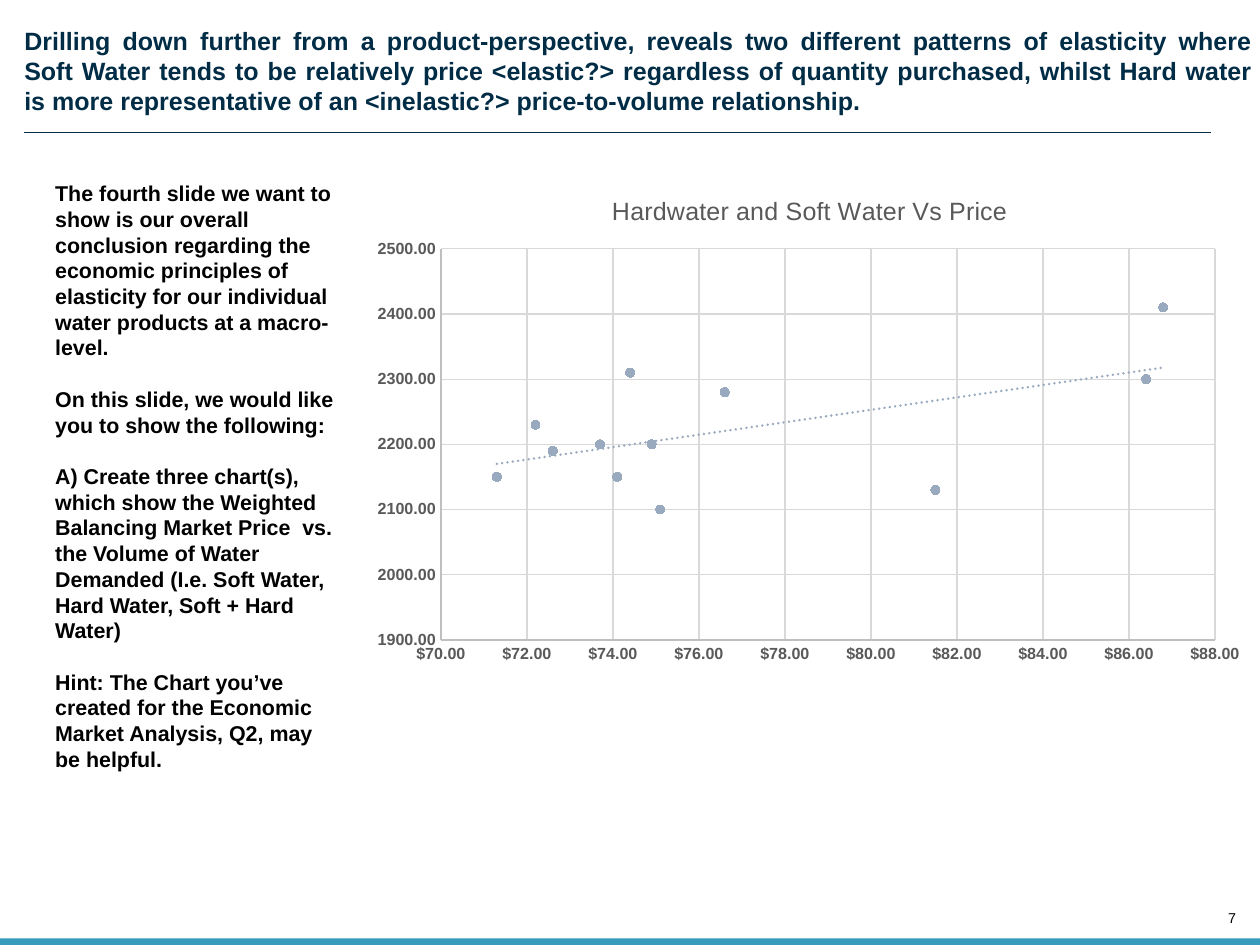
from lxml import etree
from pptx import Presentation
from pptx import util as u
from pptx.chart import data as chart_data
from pptx.dml import color
from pptx.enum import chart as chart_enum
from pptx.enum import shapes, text
from pptx.oxml import ns, parse_xml

COLORS = {
    "navy": "002C46",
    "teal": "379BBD",
    "black": "000000",
    "label": "595959",
    "axis": "BFBFBF",
    "grid": "D9D9D9",
    "point": "99AABE",
}
FONT = "Arial"
SLIDE_WIDTH, SLIDE_HEIGHT = 24.89, 18.67

HEADLINE = (
    "Drilling down further from a product-perspective, reveals two different patterns of elasticity where\v"
    "Soft Water tends to be relatively price <elastic?> regardless of quantity purchased, whilst Hard water "
    "is more representative of an <inelastic?> price-to-volume relationship."
)
BRIEF = [
    "The fourth slide we want to show is our overall conclusion regarding the economic principles of "
    "elasticity for our individual water products at a macro-level.",
    "On this slide, we would like you to show the following:",
    "A) Create three chart(s), which show the Weighted Balancing Market Price  vs. the Volume of Water "
    "Demanded (I.e. Soft Water, Hard Water, Soft + Hard Water)",
    "Hint: The Chart you’ve created for the Economic Market Analysis, Q2, may be helpful.",
]
PRICE_VOLUME = [
    (86.4, 2300), (86.8, 2410), (81.5, 2130), (72.6, 2190),
    (71.3, 2150), (72.2, 2230), (76.6, 2280), (74.9, 2200),
    (74.1, 2150), (75.1, 2100), (73.7, 2200), (74.4, 2310),
]


def rgb(name):
    return color.RGBColor.from_string(COLORS[name])


def style_font(font, size, tint, bold=False):
    font.name = FONT
    font.size = u.Pt(size)
    font.bold = bold
    font.color.rgb = rgb(tint)


def style_line(line, tint, width=0.75):
    line.color.rgb = rgb(tint)
    line.width = u.Pt(width)


def place(part, left, top, width, height):
    part.left, part.top = u.Cm(left), u.Cm(top)
    part.width, part.height = u.Cm(width), u.Cm(height)


def write(frame, paragraphs, size, tint, bold=False, align=text.PP_ALIGN.LEFT,
          anchor=text.MSO_ANCHOR.TOP, inset=(0, 0), gap=0, wrap=True):
    frame.word_wrap = wrap
    frame.auto_size = text.MSO_AUTO_SIZE.NONE
    frame.vertical_anchor = anchor
    frame.margin_left = frame.margin_right = u.Cm(inset[0])
    frame.margin_top = frame.margin_bottom = u.Cm(inset[1])
    for index, wording in enumerate(paragraphs):
        paragraph = frame.add_paragraph() if index else frame.paragraphs[0]
        paragraph.text = wording
        paragraph.alignment = align
        paragraph.line_spacing = 1.0
        paragraph.space_before = u.Pt(gap if index else 0)
        for run in paragraph.runs:
            style_font(run.font, size, tint, bold)


def add_headline(slide, left, top, width, height):
    headline = slide.shapes.title
    place(headline, left, top, width, height)
    write(headline.text_frame, [HEADLINE], 14, "navy", bold=True, align=text.PP_ALIGN.JUSTIFY)
    rule_y = u.Cm(top + height + 0.31)
    rule = slide.shapes.add_connector(
        shapes.MSO_CONNECTOR.STRAIGHT, u.Cm(left), rule_y, u.Cm(left + width - 0.83), rule_y)
    style_line(rule.line, "navy")
    etree.SubElement(rule._element.spPr, ns.qn("a:effectLst"))


def add_brief(slide, left, top, width, height):
    brief = slide.placeholders[1]
    place(brief, left, top, width, height)
    write(brief.text_frame, BRIEF, 12, "black", bold=True, inset=(0.25, 0.13), gap=14.4)
    for paragraph in brief.text_frame.paragraphs:
        properties = paragraph._p.get_or_add_pPr()
        properties.set("marL", "0")
        properties.set("indent", "0")
        etree.SubElement(properties, ns.qn("a:buNone"))


def style_axis(axis, low, high, step, number_format):
    axis.minimum_scale, axis.maximum_scale, axis.major_unit = low, high, step
    axis.major_tick_mark = axis.minor_tick_mark = chart_enum.XL_TICK_MARK.NONE
    axis.has_major_gridlines = True
    style_line(axis.major_gridlines.format.line, "grid")
    style_line(axis.format.line, "axis")
    axis.tick_labels.number_format = number_format
    axis.tick_labels.number_format_is_linked = False
    style_font(axis.tick_labels.font, 9, "label", bold=True)


def add_trend(series):
    trend = parse_xml(
        f'<c:trendline {ns.nsdecls("c", "a")}><c:spPr><a:ln w="19050" cap="rnd"><a:solidFill>'
        f'<a:srgbClr val="{COLORS["point"]}"/></a:solidFill><a:prstDash val="sysDot"/></a:ln></c:spPr>'
        '<c:trendlineType val="linear"/><c:dispRSqr val="0"/><c:dispEq val="0"/></c:trendline>')
    series._element.find(ns.qn("c:xVal")).addprevious(trend)


def set_plot_area(chart, **shares):
    area = chart._chartSpace.chart.plotArea
    for layout in area.findall(ns.qn("c:layout")):
        area.remove(layout)
    settings = {"layoutTarget": "inner", "xMode": "edge", "yMode": "edge", **shares}
    entries = "".join(f'<c:{key} val="{value}"/>' for key, value in settings.items())
    area.insert(0, parse_xml(
        f'<c:layout {ns.nsdecls("c")}><c:manualLayout>{entries}</c:manualLayout></c:layout>'))


def add_price_chart(slide, left, top, width, height):
    data = chart_data.XyChartData()
    volumes = data.add_series("Series 1")
    for price, volume in PRICE_VOLUME:
        volumes.add_data_point(price, volume)
    chart = slide.shapes.add_chart(
        chart_enum.XL_CHART_TYPE.XY_SCATTER,
        u.Cm(left), u.Cm(top), u.Cm(width), u.Cm(height), data).chart
    style_font(chart.font, 10, "black")
    chart.has_legend = False
    chart.has_title = True
    chart_heading = chart.chart_title.text_frame.paragraphs[0].add_run()
    chart_heading.text = "Hardwater and Soft Water Vs Price"
    style_font(chart_heading.font, 14, "label")
    chart.chart_title.include_in_layout = False
    style_axis(chart.category_axis, 70, 88, 2, '"$"0.00')
    style_axis(chart.value_axis, 1900, 2500, 100, "0.00")
    plot = chart.plots[0]
    plot.vary_by_categories = False
    points = plot.series[0]
    points.format.line.fill.background()
    points.marker.style = chart_enum.XL_MARKER_STYLE.CIRCLE
    points.marker.size = 5
    points.marker.format.fill.solid()
    points.marker.format.fill.fore_color.rgb = rgb("point")
    style_line(points.marker.format.line, "point")
    add_trend(points)
    set_plot_area(chart, x=0.09, y=0.15, w=0.86, h=0.78)


def add_footer(slide, left, top, width, height):
    band = slide.shapes.add_shape(
        shapes.MSO_SHAPE.RECTANGLE, u.Cm(left), u.Cm(top), u.Cm(width), u.Cm(height))
    band.shadow.inherit = False
    band.fill.solid()
    band.fill.fore_color.rgb = rgb("teal")
    band.line.fill.background()
    page_number = slide.shapes.add_textbox(
        u.Cm(left + width - 0.83), u.Cm(top - 0.56), u.Cm(0.36), u.Cm(0.33))
    write(page_number.text_frame, ["7"], 8, "black", align=text.PP_ALIGN.RIGHT,
          anchor=text.MSO_ANCHOR.BOTTOM, wrap=False)


def main():
    deck = Presentation()
    deck.slide_width, deck.slide_height = u.Cm(SLIDE_WIDTH), u.Cm(SLIDE_HEIGHT)
    slide = deck.slides.add_slide(deck.slide_layouts[1])
    add_footer(slide, 0, SLIDE_HEIGHT - 0.13, SLIDE_WIDTH, 0.13)
    add_headline(slide, 0.48, 0.51, 24.28, 1.8)
    add_brief(slide, 0.84, 3.43, 6.12, 12.07)
    add_price_chart(slide, 7.11, 3.43, 17.78, 9.91)
    deck.save("out.pptx")


if __name__ == "__main__":
    main()
